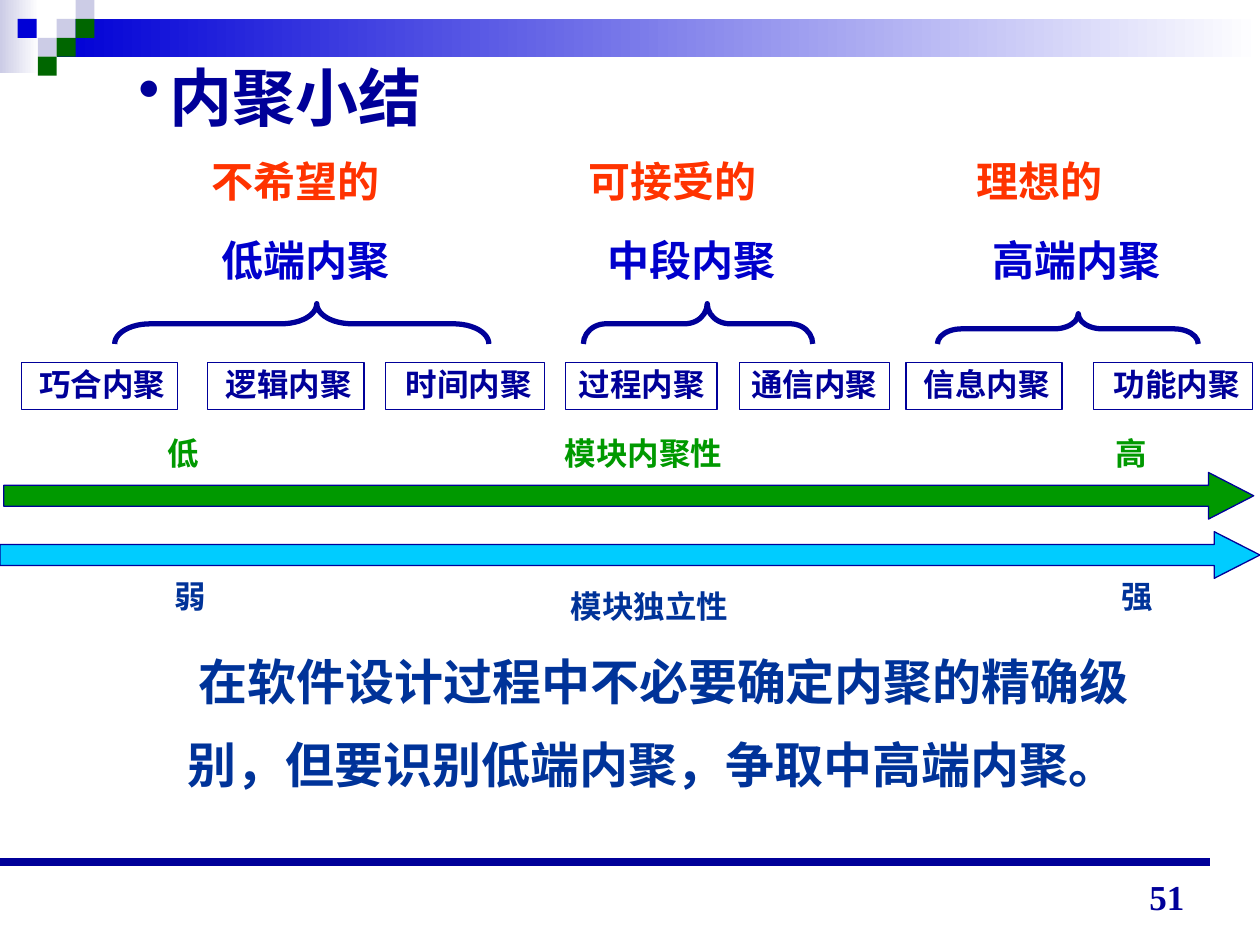
from lxml import etree
from pptx import Presentation
from pptx.dml.color import RGBColor
from pptx.enum.shapes import MSO_CONNECTOR, MSO_SHAPE
from pptx.enum.text import MSO_ANCHOR, MSO_AUTO_SIZE, PP_ALIGN
from pptx.oxml.ns import qn
from pptx.util import Inches, Pt

RECTANGLE = MSO_SHAPE.RECTANGLE
RIGHT_ARROW = MSO_SHAPE.RIGHT_ARROW
LEFT_BRACE = MSO_SHAPE.LEFT_BRACE
STRAIGHT = MSO_CONNECTOR.STRAIGHT
TOP, MIDDLE, BOTTOM = MSO_ANCHOR.TOP, MSO_ANCHOR.MIDDLE, MSO_ANCHOR.BOTTOM
LEFT, RIGHT = PP_ALIGN.LEFT, PP_ALIGN.RIGHT
NO_AUTOSIZE = MSO_AUTO_SIZE.NONE

LATIN = "Cabin"
CHINESE = "Noto Sans CJK SC"
NUMERALS = "Times New Roman"
NAVY, BLUE, INK = "000099", "0000CC", "003399"
GREEN, CYAN, RED = "009900", "00CCFF", "FF3300"
PALE, BRIGHT, FOREST = "CCCCE6", "0000D6", "006600"


def color(value):
    return RGBColor.from_string(value)


def set_values(target, values):
    for name, value in values.items():
        setattr(target, name, value)


def add_block(slide, kind, place, fill=None, outline=None, weight=0.75, adjustments=()):
    block = slide.shapes.add_shape(kind, *map(Inches, place))
    block.shadow.inherit = False
    if fill:
        block.fill.solid()
        block.fill.fore_color.rgb = color(fill)
    else:
        block.fill.background()
    if outline:
        block.line.color.rgb = color(outline)
        block.line.width = Pt(weight)
    else:
        block.line.fill.background()
    for index, value in enumerate(adjustments):
        block.adjustments[index] = value
    return block


def add_fade(slide, place, start):
    band = add_block(slide, RECTANGLE, place)
    band.fill.gradient()
    band.fill.gradient_angle = 180
    for stop, (position, value) in zip(band.fill.gradient_stops, [(0, "FFFFFF"), (1, start)]):
        stop.position = position
        stop.color.rgb = color(value)


def add_bullet(paragraph, value):
    properties = paragraph._p.get_or_add_pPr()
    bullet_color = etree.SubElement(properties, qn("a:buClr"))
    etree.SubElement(bullet_color, qn("a:srgbClr")).set("val", value)
    etree.SubElement(properties, qn("a:buChar")).set("char", "•")


def write(holder, lines, size, value, font=LATIN, align=LEFT, anchor=TOP, wrap=True,
          margins=(0.1, 0.05), indented=False, bullet=False, spacing=0.9, gap=0):
    frame = holder.text_frame
    side, edge = map(Inches, margins)
    set_values(frame, {"word_wrap": wrap, "auto_size": NO_AUTOSIZE, "vertical_anchor": anchor,
                       "margin_left": side, "margin_right": side,
                       "margin_top": edge, "margin_bottom": edge})
    for index, line in enumerate(lines):
        paragraph = frame.add_paragraph() if index else frame.paragraphs[0]
        if bullet:
            add_bullet(paragraph, value)
        set_values(paragraph, {"alignment": align, "line_spacing": spacing,
                               "space_before": Pt(gap if index else 0)})
        if indented:
            properties = paragraph._p.get_or_add_pPr()
            properties.set("marL", str(Inches(1.25)))
            properties.set("indent", str(Inches(-0.25)))
        run = paragraph.add_run()
        run.text = line
        set_values(run.font, {"name": font, "size": Pt(size), "bold": True})
        run.font.color.rgb = color(value)
        if font != NUMERALS:
            etree.SubElement(run._r.get_or_add_rPr(), qn("a:ea")).set("typeface", CHINESE)


def add_text(slide, place, lines, size, value, **layout):
    write(slide.shapes.add_textbox(*map(Inches, place)), lines, size, value, **layout)


def add_brace(slide, left, top, span, depth, bend, tip):
    place = (left + (span - depth) / 2, top - (span - depth) / 2, depth, span)
    brace = add_block(slide, LEFT_BRACE, place, outline=NAVY, weight=3, adjustments=(bend, tip))
    brace.rotation = 90


def add_decoration(slide):
    add_fade(slide, (0, 0, 0.31, 0.58), PALE)
    add_fade(slide, (0.45, 0.15, 9.55, 0.3), BRIGHT)
    columns = (0.14, 0.3, 0.45, 0.6)
    side = 0.15
    tiles = [(2, 1, PALE), (3, 0, PALE), (3, 1, FOREST), (1, 2, PALE),
             (0, 1, BRIGHT), (2, 2, FOREST), (1, 3, FOREST)]
    for column, row, value in tiles:
        add_block(slide, RECTANGLE, (columns[column], row * side, side, side), value)
    rule = slide.shapes.add_connector(STRAIGHT, *map(Inches, (0, 6.84, 9.6, 6.84)))
    rule.line.color.rgb = color(NAVY)
    rule.line.width = Pt(4.5)
    etree.SubElement(rule._element.spPr, qn("a:effectLst"))


def add_cohesion_types(slide):
    types = [("巧合内聚", 0.17, 1.24), ("逻辑内聚", 1.65, 1.24), ("时间内聚", 3.06, 1.26),
             ("过程内聚", 4.49, 1.2), ("通信内聚", 5.87, 1.19),
             ("信息内聚", 7.19, 1.24), ("功能内聚", 8.68, 1.26)]
    for name, left, width in types:
        box = add_block(slide, RECTANGLE, (left, 2.88, width, 0.37), outline=NAVY)
        write(box, [name], 18, NAVY, align=RIGHT, anchor=MIDDLE, wrap=False)


def add_scales(slide):
    add_block(slide, RIGHT_ARROW, (0.03, 3.75, 9.92, 0.37), GREEN, NAVY, adjustments=(0.45, 0.97))
    add_block(slide, RIGHT_ARROW, (0, 4.22, 10, 0.37), CYAN, NAVY, adjustments=(0.45, 0.98))
    labels = [("低", 0.36, 3.43, 1.32, GREEN), ("高", 7.88, 3.43, 1.32, GREEN),
              ("弱", 0.41, 4.56, 1.32, INK), ("强", 7.93, 4.56, 1.32, INK),
              ("模块内聚性", 4.3, 3.43, 1.53, GREEN), ("模块独立性", 4.35, 4.64, 1.53, INK)]
    for label, left, top, width, value in labels:
        add_text(slide, (left, top, width, 0.37), [label], 18, value,
                 align=RIGHT, anchor=MIDDLE, wrap=False)


def add_levels(slide):
    levels = [("低端内聚", 0.66, (0.91, 2.41, 2.97, 0.32, 0.88, 0.46)),
              ("中段内聚", 3.72, (4.63, 2.41, 1.82, 0.32, 0.56, 0.46)),
              ("高端内聚", 6.78, (7.44, 2.49, 2.07, 0.24, 0.8, 0.46))]
    for level, left, brace in levels:
        add_brace(slide, *brace)
        add_text(slide, (left, 1.86, 2.73, 0.46), [level], 24, BLUE, indented=True)
    ratings = [("不希望的", 0.58, 3.03), ("可接受的", 3.57, 3.03), ("理想的", 6.65, 2.7)]
    for rating, left, width in ratings:
        add_text(slide, (left, 1.23, width, 0.46), [rating], 24, RED, indented=True)


def main():
    deck = Presentation()
    deck.slide_width, deck.slide_height = Inches(10), Inches(7.5)
    slide = deck.slides.add_slide(deck.slide_layouts[6])
    add_decoration(slide)
    add_cohesion_types(slide)
    add_scales(slide)
    add_levels(slide)
    add_text(slide, (0, 0.48, 4.17, 0.64), ["内聚小结"], 36, NAVY, indented=True, bullet=True)
    advice = [" 在软件设计过程中不必要确定内聚的精确级", "别，但要识别低端内聚，争取中高端内聚。"]
    add_text(slide, (0.49, 5.22, 9.3, 1.08), advice, 28, INK, font=CHINESE,
             margins=(0, 0), indented=True, gap=17.5)
    add_text(slide, (7.17, 6.83, 2.33, 0.5), ["51"], 20, NAVY, font=NUMERALS,
             align=RIGHT, anchor=BOTTOM, spacing=1.0)
    deck.save("out.pptx")


if __name__ == "__main__":
    main()
